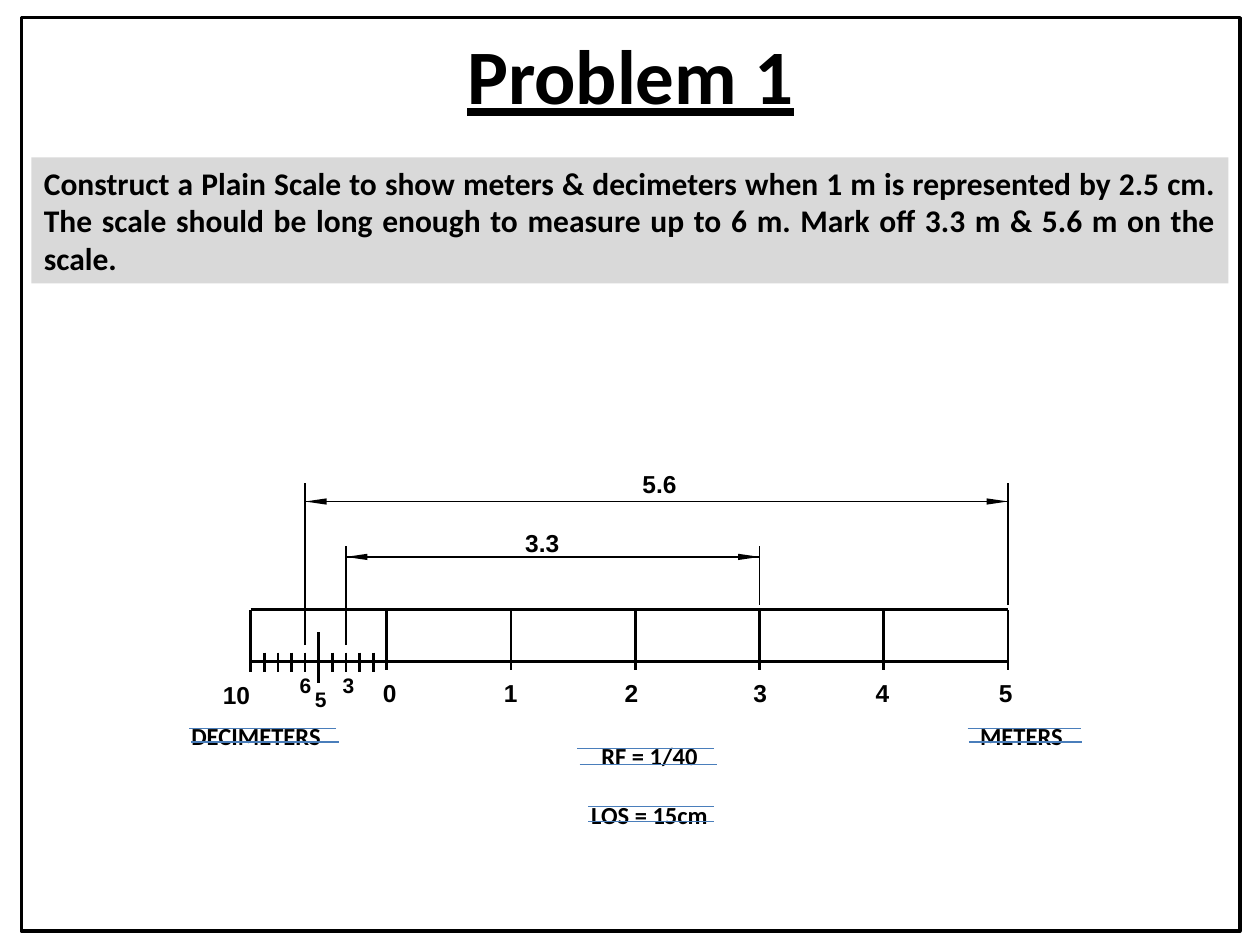
from pptx import Presentation
from pptx.util import Inches, Pt
from pptx.dml.color import RGBColor
from pptx.enum.shapes import MSO_SHAPE, MSO_CONNECTOR
from pptx.enum.text import PP_ALIGN, MSO_ANCHOR
from pptx.oxml.ns import qn
from lxml import etree

theme = {
    "ink": RGBColor(0, 0, 0),
    "blue": RGBColor(0x4A, 0x7E, 0xBB),
    "gray": RGBColor(0xD9, 0xD9, 0xD9),
    "title": 44, "body": 18, "label": 14, "small": 12,
    "frame": 2, "thick": 1.5, "thin": 0.75,
}

deck = Presentation()
deck.slide_width, deck.slide_height = Inches(10), Inches(7.5)
slide = deck.slides.add_slide(deck.slide_layouts[6])
shapes = slide.shapes


def write(text, x, y, w, h, size="label", font="Arial", align=PP_ALIGN.LEFT,
          anchor=MSO_ANCHOR.TOP, under=None, fill=None, gap=0):
    box = shapes.add_textbox(Inches(x), Inches(y), Inches(w), Inches(h))
    if fill:
        box.fill.solid()
        box.fill.fore_color.rgb = theme[fill]
    frame = box.text_frame
    frame.word_wrap = True
    frame.vertical_anchor = anchor
    for i, row in enumerate(text.split("\n")):
        para = frame.paragraphs[0] if i == 0 else frame.add_paragraph()
        para.alignment = align
        para.space_before = Pt(gap if i else 0)
        run = para.add_run()
        run.text = row
        run.font.name = font
        run.font.size = Pt(theme[size])
        run.font.bold = True
        run.font.underline = under
        run.font.color.rgb = theme["ink"]


def rule(x1, y1, x2, y2, width="thick", color="ink"):
    line = shapes.add_connector(MSO_CONNECTOR.STRAIGHT, Inches(x1), Inches(y1),
                                Inches(x2), Inches(y2))
    line.line.width = Pt(theme[width])
    line.line.color.rgb = theme[color]
    etree.SubElement(line._element.spPr, qn("a:effectLst"))


border = shapes.add_shape(MSO_SHAPE.RECTANGLE, Inches(0.17), Inches(0.14),
                          Inches(9.67), Inches(7.25))
border.shadow.inherit = False
border.fill.background()
border.line.color.rgb = theme["ink"]
border.line.width = Pt(theme["frame"])

write("Problem 1", 0.2, 0.17, 9.61, 0.83, size="title", font="Calibri",
      align=PP_ALIGN.CENTER, anchor=MSO_ANCHOR.MIDDLE, under=True)
write("Construct a Plain Scale to show meters & decimeters when 1 m is "
      "represented by 2.5 cm. The scale should be long enough to measure up "
      "to 6 m. Mark off 3.3 m & 5.6 m on the scale.",
      0.25, 1.25, 9.5, 1, size="body", font="Calibri",
      align=PP_ALIGN.JUSTIFY, fill="gray")

left, zero, right = 1.99, 3.07, 8
top, base = 4.84, 5.25
meter = (right - zero) / 5
deci = (zero - left) / 10

rule(left, top, right, top)
rule(left, base, right, base)
rule(left, top, left, 5.33)
for i in range(6):
    x = zero + i * meter
    rule(x, top, x, 5.32)
for i in range(1, 10):
    x = zero - i * deci
    rise, drop = (5.02, 5.42) if i == 5 else (5.18, 5.33)
    rule(x, rise, x, drop)

for i, x in enumerate([2.94, 3.9, 4.86, 5.88, 6.85, 7.83]):
    write(str(i), x, 5.33, 0.32, 0.34)
write("10", 1.67, 5.35, 0.51, 0.34)
for mark, x, y in [("6", 2.28, 5.29), ("5", 2.4, 5.4), ("3", 2.62, 5.29)]:
    write(mark, x, y, 0.32, 0.3, size="small")

for whole, part, y, high, x, rise in [(3, 3, 4.42, 4.33, 4.07, 4.14),
                                      (5, 6, 3.98, 3.83, 5, 3.67)]:
    start, end = zero - part * deci, zero + whole * meter
    rule(start, 5.12, start, high, width="thin")
    rule(end, 4.8, end, high, width="thin")
    rule(start, y, end, y, width="thin")
    for mid, turn in [(start + 0.085, 270), (end - 0.085, 90)]:
        tip = shapes.add_shape(MSO_SHAPE.ISOSCELES_TRIANGLE,
                               Inches(mid - 0.025), Inches(y - 0.085),
                               Inches(0.05), Inches(0.17))
        tip.rotation = turn
        tip.shadow.inherit = False
        tip.fill.solid()
        tip.fill.fore_color.rgb = theme["ink"]
        tip.line.fill.background()
    write(f"{whole}.{part}", x, rise, 0.51, 0.34)

write("METERS", 7.68, 5.67, 0.91, 0.34, font="Calibri")
write("DECIMETERS", 1.42, 5.67, 1.5, 0.34, font="Calibri")
write("RF = 1/40\nLOS = 15cm", 4.33, 5.83, 1.65, 0.8, font="Calibri",
      align=PP_ALIGN.CENTER, gap=17)

for x, y, end, low, shift in [(7.68, 5.78, 8.58, 5.89, 0.01),
                              (1.5, 5.78, 2.67, 5.89, 0.02),
                              (4.58, 5.94, 5.67, 6.07, 0.02),
                              (4.67, 6.4, 5.67, 6.52, 0)]:
    rule(x, y, end, y, width="thin", color="blue")
    rule(x + shift, low, end + shift, low, width="thin", color="blue")

deck.save("out.pptx")
